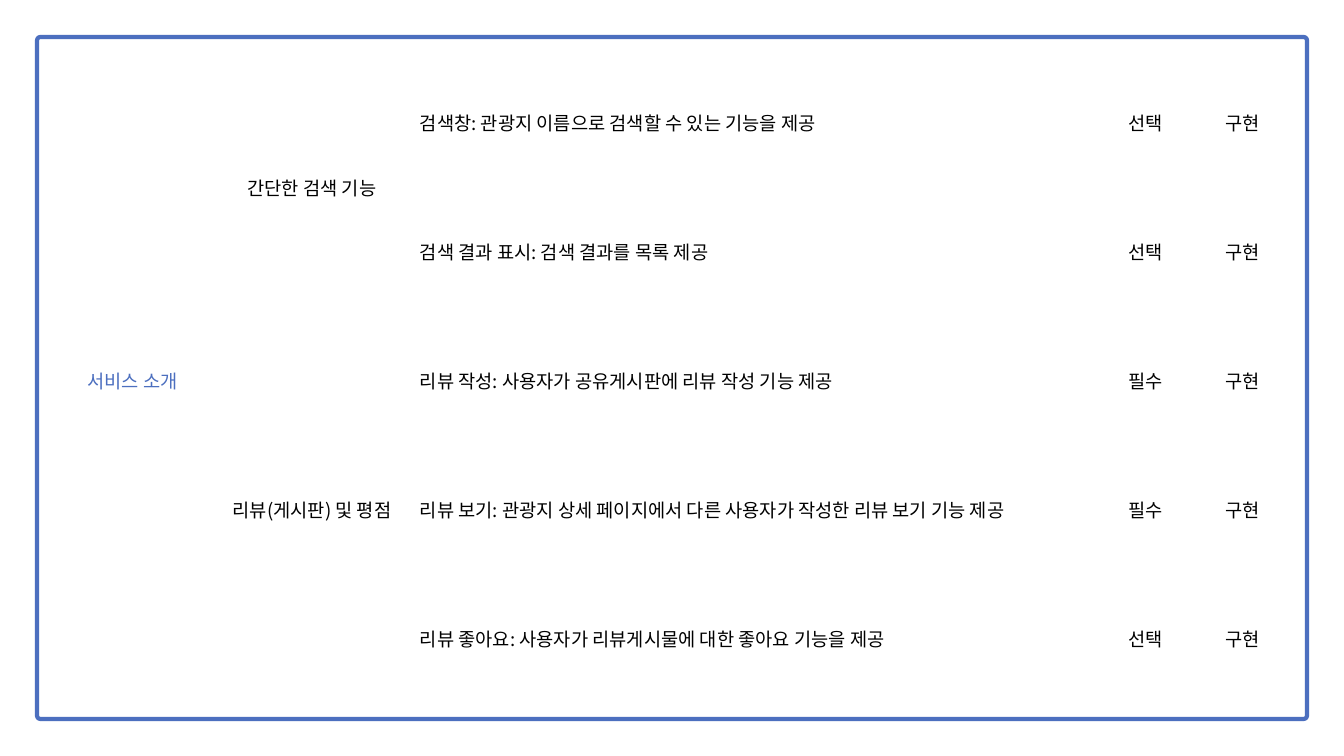
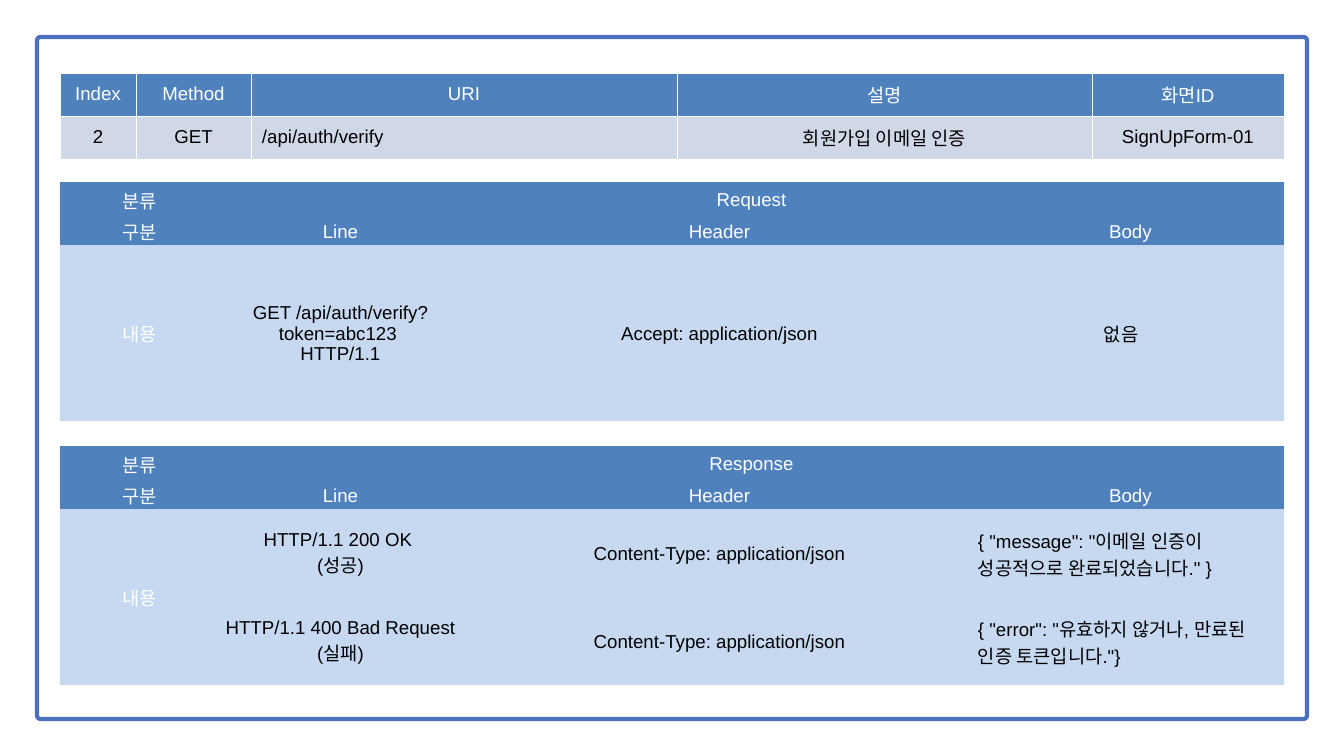
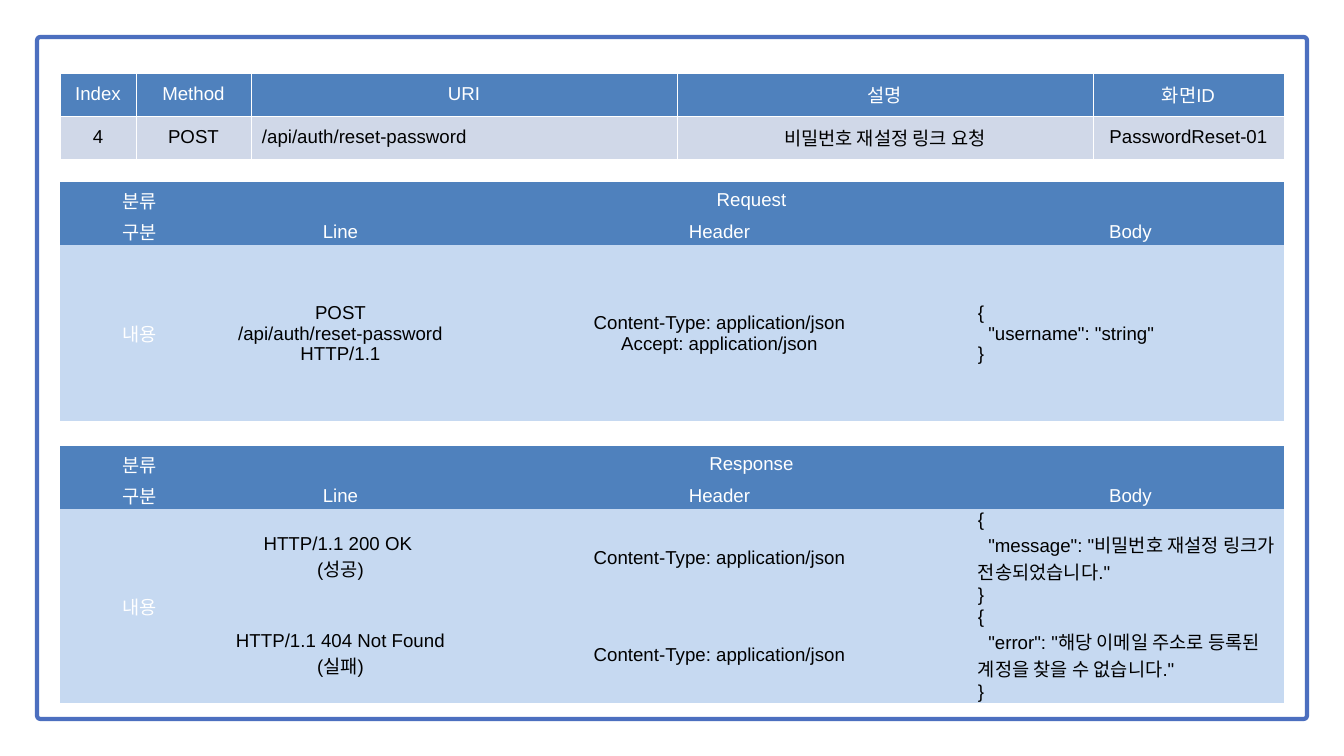
from lxml import etree
from pptx import Presentation
from pptx import util as u
from pptx.dml.color import RGBColor
from pptx.enum import shapes, text
from pptx.oxml.ns import qn

PX = 914400 / 67.2
COLORS = {"frame": "4C6FBF", "white": "FFFFFF", "black": "000000",
          "header": "4F81BD", "content": "C6D9F1", "summary": "D0D8E8"}
LATIN, KOREAN = "Arial", "Noto Sans CJK KR"
PLAIN_STYLE = "{2D5ABB26-0587-4C30-8999-92F81FD0307C}"

FEATURES = [
    ("서비스 소개", "간단한 검색 기능", "검색창: 관광지 이름으로 검색할 수 있는 기능을 제공", "선택", "구현"),
    (None, None, "검색 결과 표시: 검색 결과를 목록 제공", "선택", "구현"),
    (None, "리뷰(게시판) 및 평점", "리뷰 작성: 사용자가 공유게시판에 리뷰 작성 기능 제공", "필수", "구현"),
    (None, None, "리뷰 보기: 관광지 상세 페이지에서 다른 사용자가 작성한 리뷰 보기 기능 제공", "필수", "구현"),
    (None, None, "리뷰 좋아요: 사용자가 리뷰게시물에 대한 좋아요 기능을 제공", "선택", "구현"),
]
SUMMARY_HEAD = ("Index", "Method", "URI", "설명", "화면ID")
PARTS_HEAD = ("구분", "Line", "Header", "Body")
JSON_TYPE = "Content-Type: application/json"
ENDPOINTS = [
    {
        "summary": ("2", "GET", "/api/auth/verify", "회원가입 이메일 인증", "SignUpForm-01"),
        "summary_cols": (76, 115, 426, 415, 192),
        "request": [("GET /api/auth/verify?\ntoken=abc123 \nHTTP/1.1",
                     "Accept: application/json", "없음　")],
        "response": [
            ("HTTP/1.1 200 OK \n(성공)", JSON_TYPE,
             '{ "message": "이메일 인증이 성공적으로 완료되었습니다." }'),
            ("HTTP/1.1 400 Bad Request (실패)", JSON_TYPE,
             '{ "error": "유효하지 않거나, 만료된 인증 토큰입니다."}'),
        ],
    },
    {
        "summary": ("4", "POST", "/api/auth/reset-password", "비밀번호 재설정 링크 요청",
                    "PasswordReset-01"),
        "summary_cols": (76, 115, 426, 416, 191),
        "request": [("POST\n/api/auth/reset-password HTTP/1.1",
                     JSON_TYPE + "\nAccept: application/json",
                     '{\n  "username": "string"\n}')],
        "response": [
            ("HTTP/1.1 200 OK \n(성공)", JSON_TYPE,
             '{\n  "message": "비밀번호 재설정 링크가 전송되었습니다."\n}'),
            ("HTTP/1.1 404 Not Found\n(실패)", JSON_TYPE,
             '{\n  "error": "해당 이메일 주소로 등록된 계정을 찾을 수 없습니다."\n}'),
        ],
    },
]
FEATURE_COLS = (157, 202, 681, 104, 90)
EXCHANGE_COLS = (159, 243, 515, 307)
EXCHANGE_HEAD_ROWS = (35, 26)
EXCHANGE_CONTENT = 176
TABLE_LEFT = 60


def px(length):
    return u.Emu(round(length * PX))


def rgb(name):
    return RGBColor.from_string(COLORS[name])


def write(cell, content, ink, font, align):
    for i, line in enumerate(content.split("\n")):
        frame = cell.text_frame
        paragraph = frame.paragraphs[0] if i == 0 else frame.add_paragraph()
        paragraph.alignment = align
        run = paragraph.add_run()
        run.text = line
        run.font.size = u.Pt(20)
        run.font.name = font
        run.font.color.rgb = rgb(ink)
        etree.SubElement(run.font._element, qn("a:ea"), typeface=KOREAN)


def add_borders(cell):
    properties = cell._tc.get_or_add_tcPr()
    for i, side in enumerate(("lnL", "lnR", "lnT", "lnB")):
        line = etree.Element(qn(f"a:{side}"), w=str(u.Pt(1)))
        fill = etree.SubElement(line, qn("a:solidFill"))
        etree.SubElement(fill, qn("a:srgbClr"), val=COLORS["white"])
        properties.insert(i, line)


def draw_table(slide, left, top, cols, heights, rows, look, is_left,
               spans=(), pads=(7, 3, 7, 3), font=LATIN, borders=False):
    """look(row, col) gives fill and ink; spans hold first and last cell; None is a covered cell."""
    table = slide.shapes.add_table(len(rows), len(cols), px(left), px(top),
                                   px(sum(cols)), px(sum(heights))).table
    table.first_row = table.horz_banding = False
    table._tbl.tblPr.find(qn("a:tableStyleId")).text = PLAIN_STYLE
    for column, width in zip(table.columns, cols):
        column.width = px(width)
    for row, height in zip(table.rows, heights):
        row.height = px(height)
    for first, last in spans:
        table.cell(*first).merge(table.cell(*last))
    for r, row in enumerate(rows):
        for c, content in enumerate(row):
            cell = table.cell(r, c)
            fill, ink = look(r, c)
            cell.fill.solid()
            cell.fill.fore_color.rgb = rgb(fill)
            cell.vertical_anchor = text.MSO_ANCHOR.MIDDLE
            (cell.margin_left, cell.margin_top,
             cell.margin_right, cell.margin_bottom) = map(px, pads)
            if borders:
                add_borders(cell)
            if content is not None:
                left_aligned = is_left(c, content)
                write(cell, content, ink, font,
                      text.PP_ALIGN.LEFT if left_aligned else text.PP_ALIGN.CENTER)


def add_framed_slide(deck):
    slide = deck.slides.add_slide(deck.slide_layouts[6])
    frame = slide.shapes.add_shape(shapes.MSO_SHAPE.ROUNDED_RECTANGLE,
                                   px(37), px(37), px(1270), px(682))
    frame.adjustments[0] = 0.005
    frame.shadow.inherit = False
    frame.fill.solid()
    frame.fill.fore_color.rgb = rgb("white")
    frame.line.color.rgb = rgb("frame")
    frame.line.width = u.Pt(4.5)
    return slide


def draw_features(slide):
    draw_table(slide, 54, 58, FEATURE_COLS, [129] * len(FEATURES), FEATURES,
               look=lambda r, c: ("white", "black" if c else "frame"),
               is_left=lambda c, content: c == 2,
               spans=[((0, 0), (4, 0)), ((0, 1), (1, 1)), ((2, 1), (4, 1))], font=KOREAN)


def draw_exchange(slide, top, title, messages):
    def look(r, c):
        if r < 2:
            return "header", "white"
        return "content", "black" if c else "white"

    count = len(messages)
    rows = [("분류", title, None, None), PARTS_HEAD]
    rows += [(None if i else "내용", *message) for i, message in enumerate(messages)]
    spans = [((0, 1), (0, 3))]
    if count > 1:
        spans.append(((2, 0), (1 + count, 0)))
    heights = [*EXCHANGE_HEAD_ROWS, *[EXCHANGE_CONTENT // count] * count]
    draw_table(slide, TABLE_LEFT, top, EXCHANGE_COLS, heights, rows, look,
               is_left=lambda c, content: content.startswith("{"),
               spans=spans, pads=(1, 1, 1, 0))


def draw_endpoint(slide, endpoint):
    draw_exchange(slide, 182, "Request", endpoint["request"])
    draw_exchange(slide, 446, "Response", endpoint["response"])
    draw_table(slide, TABLE_LEFT, 73, endpoint["summary_cols"], (43, 43),
               [SUMMARY_HEAD, endpoint["summary"]],
               look=lambda r, c: ("summary", "black") if r else ("header", "white"),
               is_left=lambda c, content: content.startswith("/"),
               pads=(11, 5, 11, 5), borders=True)


def main():
    deck = Presentation()
    deck.slide_width, deck.slide_height = px(1344), px(756)
    draw_features(add_framed_slide(deck))
    for endpoint in ENDPOINTS:
        draw_endpoint(add_framed_slide(deck), endpoint)
    deck.save("out.pptx")


if __name__ == "__main__":
    main()
